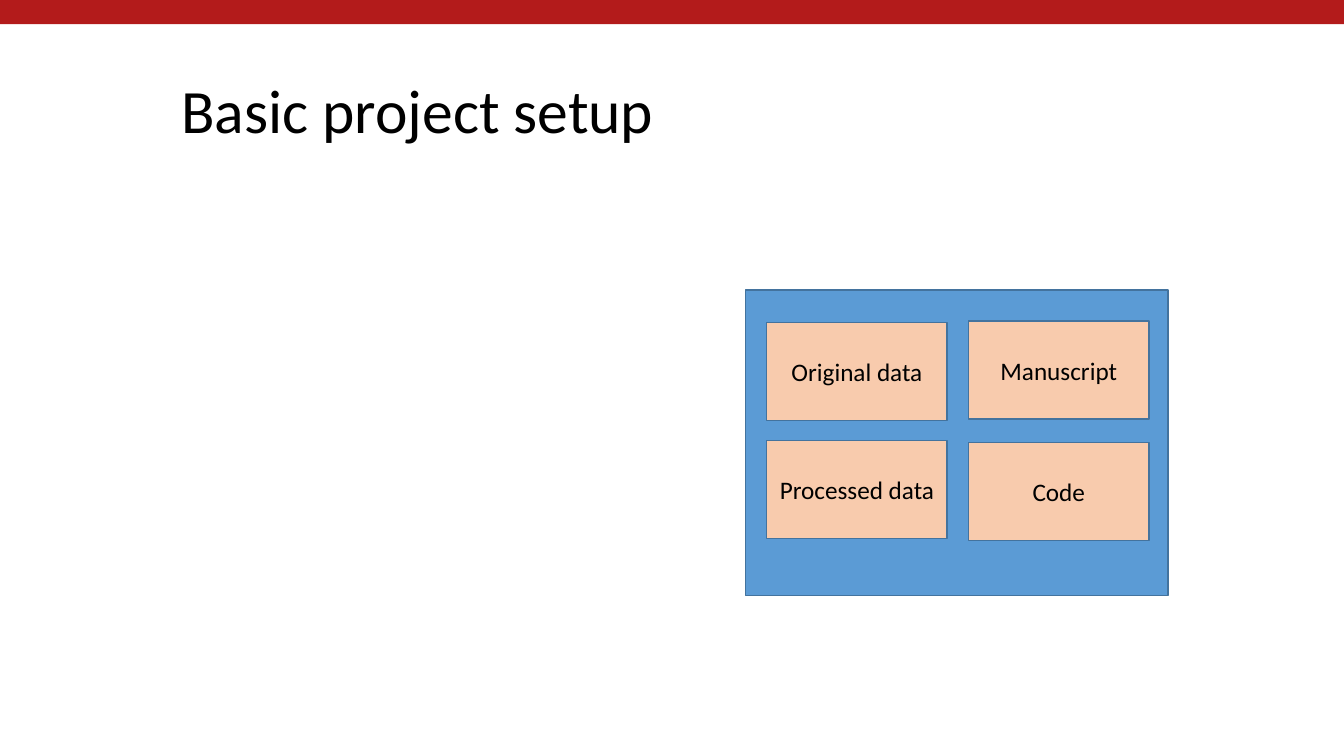
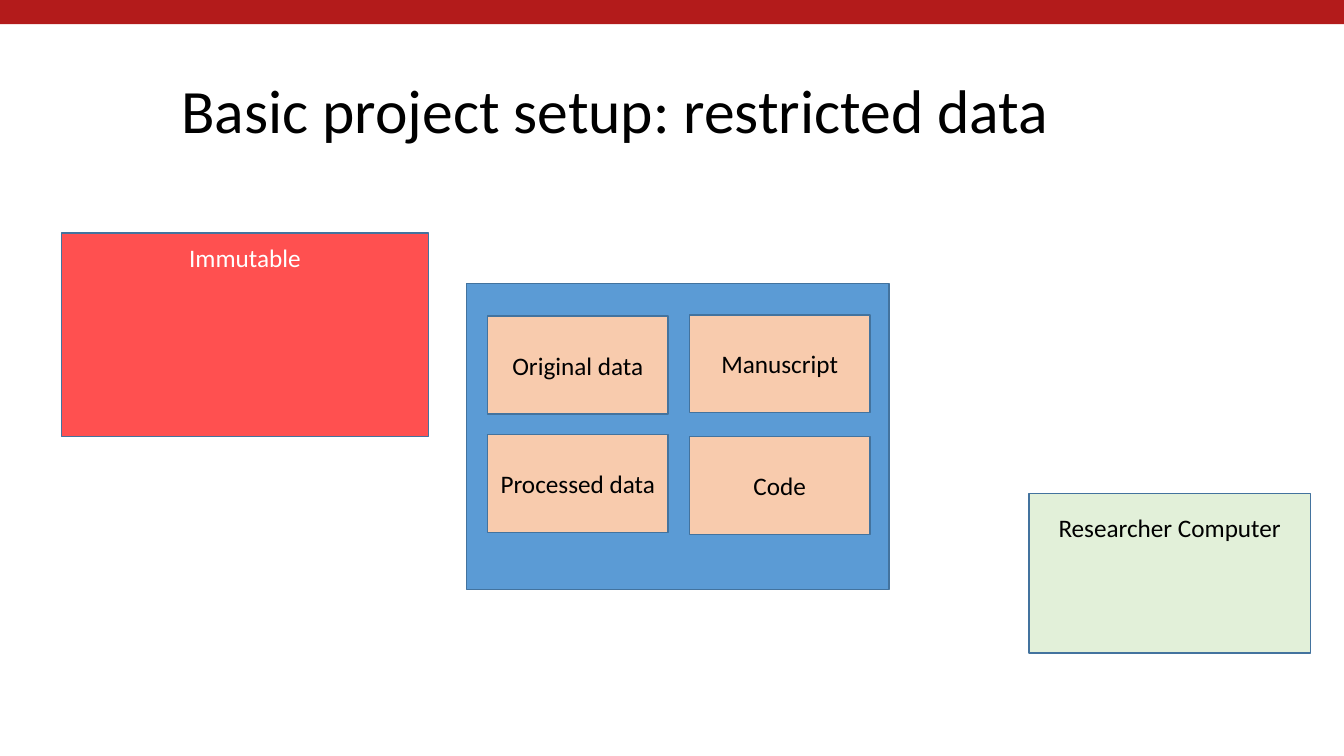
from pptx import Presentation
from pptx.dml.color import RGBColor
from pptx.enum.shapes import MSO_SHAPE
from pptx.enum.text import MSO_ANCHOR, PP_ALIGN
from pptx.util import Pt

RECTANGLE = MSO_SHAPE.RECTANGLE
TOP, MIDDLE = MSO_ANCHOR.TOP, MSO_ANCHOR.MIDDLE
LEFT, CENTER = PP_ALIGN.LEFT, PP_ALIGN.CENTER

COLORS = {
    "band": "B31B1B",
    "panel": "5B9BD5",
    "tile": "F8CBAD",
    "outline": "43739E",
    "immutable": "FF5050",
    "computer": "E2F0D9",
    "dark": "000000",
    "light": "FFFFFF",
}
FONT = "Calibri"
SLIDE_WIDTH, SLIDE_HEIGHT = 960, 540
BAND_HEIGHT = 17.3
TITLE_BOX = (122.4, 28.8, 771.8, 104.4)
PANEL_SIZE = (301.7, 218.2)
TILE_SIZE = (129, 70)
TILE_COLUMNS = [
    (15, [("Original data", 23), ("Processed data", 107.5)]),
    (159.2, [("Manuscript", 22.2), ("Code", 109)]),
]


def set_attributes(target, values):
    """Set each attribute of the target from a dict."""
    for name, value in values.items():
        setattr(target, name, value)


def color(name):
    """Return the named palette colour."""
    return RGBColor.from_string(COLORS[name])


def write_text(shape, text, size, ink, align, frame_format):
    """Write one formatted paragraph into a shape."""
    frame = shape.text_frame
    set_attributes(frame, {"word_wrap": True, **frame_format})
    para = frame.paragraphs[0]
    para.alignment = align
    span = para.add_run()
    span.text = text
    set_attributes(span.font, {"name": FONT, "size": Pt(size)})
    span.font.color.rgb = color(ink)
    return para


def add_box(page, bounds, fill, outlined=True):
    """Add a flat rectangle with the shared outline."""
    box = page.shapes.add_shape(RECTANGLE, *map(Pt, bounds))
    box.shadow.inherit = False
    box.fill.solid()
    box.fill.fore_color.rgb = color(fill)
    if outlined:
        box.line.color.rgb = color("outline")
        box.line.width = Pt(1)
    else:
        box.line.fill.background()
    return box


def add_page(deck, title):
    """Add a title-only slide with the top band and its title."""
    page = deck.slides.add_slide(deck.slide_layouts[5])
    add_box(page, (0, 0, SLIDE_WIDTH, BAND_HEIGHT), "band", outlined=False)
    heading = page.shapes.title
    set_attributes(heading, dict(zip(("left", "top", "width", "height"), map(Pt, TITLE_BOX))))
    para = write_text(heading, title, 44, "dark", LEFT, {"vertical_anchor": MIDDLE})
    para.line_spacing = 0.9
    return page


def add_project(page, left, top):
    """Add the project panel and its four tiles."""
    add_box(page, (left, top, *PANEL_SIZE), "panel")
    for column, tiles in TILE_COLUMNS:
        for label, row in tiles:
            tile = add_box(page, (left + column, top + row, *TILE_SIZE), "tile")
            write_text(tile, label, 18, "dark", CENTER, {"vertical_anchor": MIDDLE})


def add_location(page, bounds, label, fill, ink, inset):
    """Add a location box labelled near its top edge."""
    box = add_box(page, bounds, fill)
    frame_format = {"vertical_anchor": TOP, "margin_top": Pt(inset)}
    write_text(box, label, 18, ink, CENTER, frame_format)


def build_basic(deck):
    """Build the basic setup slide."""
    page = add_page(deck, "Basic project setup")
    add_project(page, 532.6, 207.2)


def build_restricted(deck):
    """Build the restricted data slide."""
    page = add_page(deck, "Basic project setup: restricted data")
    add_location(page, (735, 352.6, 201, 114), "Researcher Computer", "computer", "dark", 13)
    add_location(page, (44, 166.4, 262, 145.4), "Immutable", "immutable", "light", 7)
    add_project(page, 333.2, 202.7)


def main():
    """Build and save the deck."""
    deck = Presentation()
    set_attributes(deck, {"slide_width": Pt(SLIDE_WIDTH), "slide_height": Pt(SLIDE_HEIGHT)})
    build_basic(deck)
    build_restricted(deck)
    deck.save("out.pptx")


if __name__ == "__main__":
    main()
